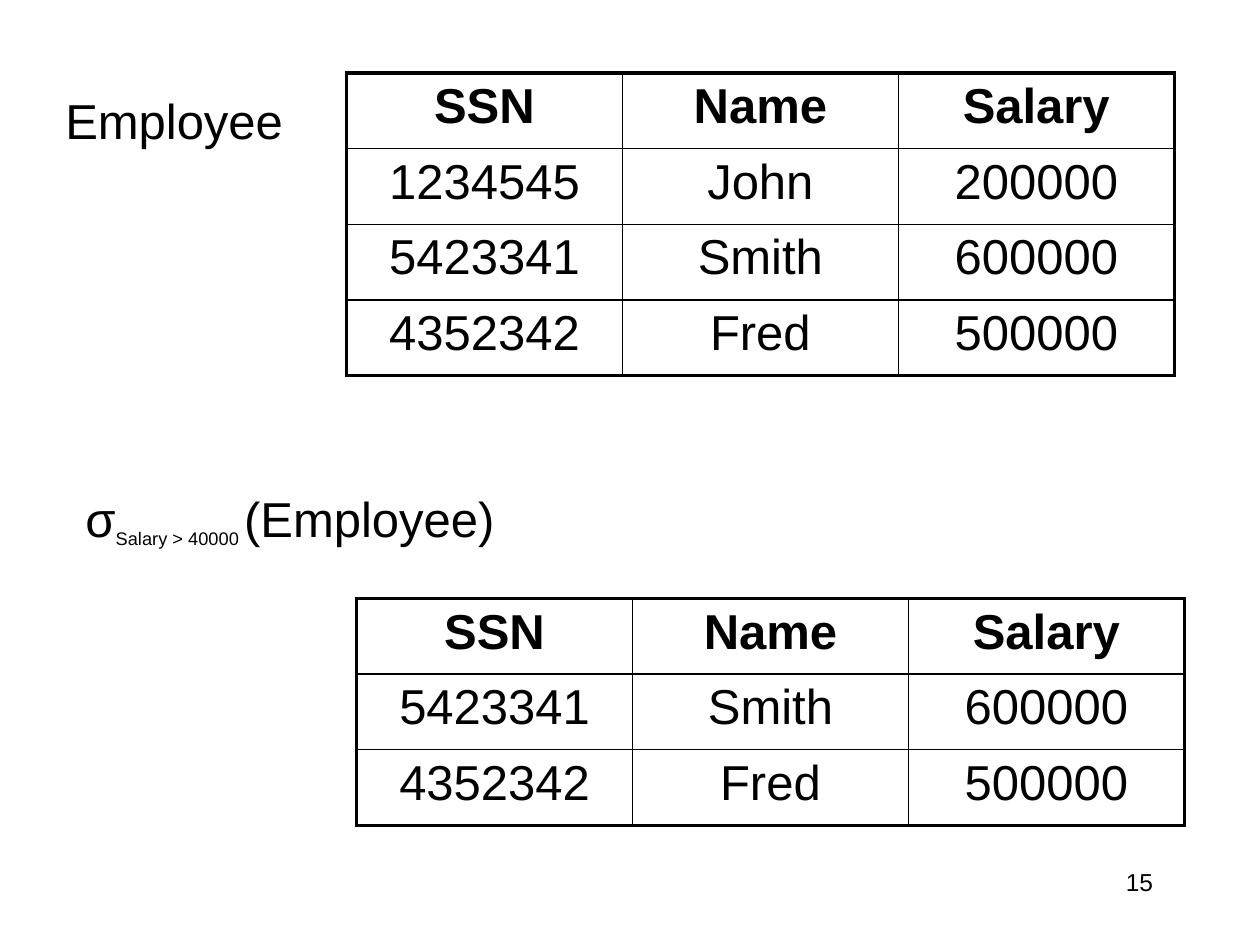
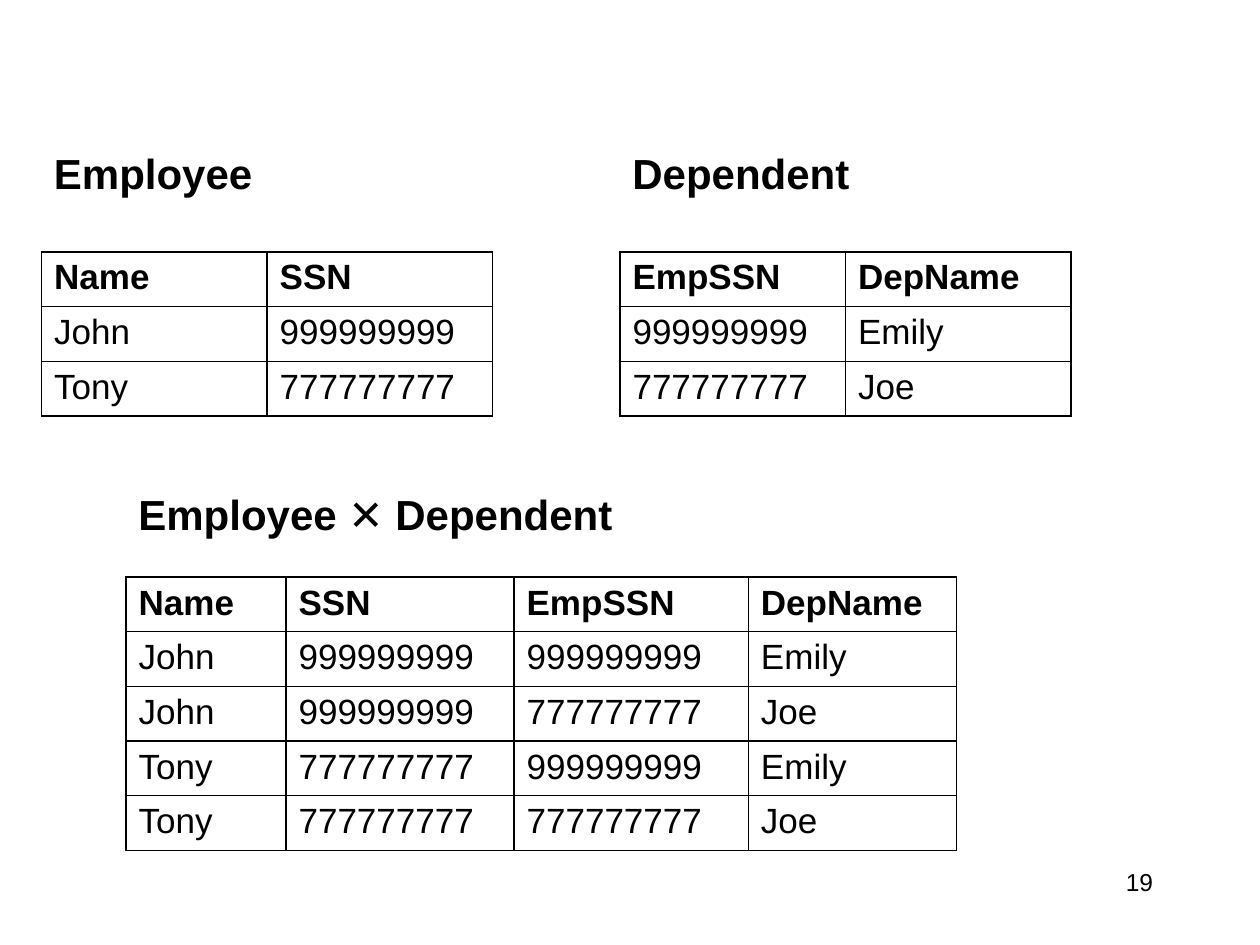
from itertools import product

from lxml import etree
from pptx import Presentation
from pptx import util as u
from pptx.dml.color import RGBColor
from pptx.enum import text as t
from pptx.oxml.ns import qn

WIDTH, HEIGHT = 10, 7.5
INK, FACE = "000000", "Arial"
INNER_LINE = 1

PAY_HEADER = ("SSN", "Name", "Salary")
PAY_ROWS = [
    ("1234545", "John", "200000"),
    ("5423341", "Smith", "600000"),
    ("4352342", "Fred", "500000"),
]
EMPLOYEE_HEADER = ("Name", "SSN")
EMPLOYEES = [("John", "999999999"), ("Tony", "777777777")]
DEPENDENT_HEADER = ("EmpSSN", "DepName")
DEPENDENTS = [("999999999", "Emily"), ("777777777", "Joe")]
PAIRS = [employee + dependent for employee, dependent in product(EMPLOYEES, DEPENDENTS)]

# Table looks: text size, row height, outer line, alignment
LARGE = dict(size=28, row=0.6, outer=2.25, align=t.PP_ALIGN.CENTER)
SMALL = dict(size=20, row=0.434, outer=INNER_LINE, align=t.PP_ALIGN.LEFT)

PLAIN = dict(size=28, bold=False)
HEADING = dict(size=24, bold=True)
NUMBER = dict(size=14, bold=False)
SUBSCRIPT = dict(size=18, bold=False, baseline=-25)

# Labels: place and size, then runs; tables: corner, column widths, rows, look
SLIDES = [
    dict(
        number="15",
        labels=[
            ((0.58, 3.83, 3.62, 0.57),
             [("σ", PLAIN), ("Salary > 40000 ", SUBSCRIPT), ("(Employee)", PLAIN)]),
            ((0.42, 0.67, 1.93, 0.57), [("Employee", PLAIN)]),
        ],
        tables=[
            ((2.75, 0.58), [2.19] * 3, [PAY_HEADER, *PAY_ROWS], LARGE),
            ((2.83, 4.75), [2.19] * 3, [PAY_HEADER, *PAY_ROWS[1:]], LARGE),
        ],
    ),
    dict(
        number="19",
        labels=[
            ((0.33, 1.12, 1.78, 0.5), [("Employee", HEADING)]),
            ((4.92, 1.12, 1.92, 0.5), [("Dependent", HEADING)]),
            ((1, 3.83, 4.02, 0.5), [("Employee ✕ Dependent", HEADING)]),
        ],
        tables=[
            ((0.33, 2), [1.79] * 2, [EMPLOYEE_HEADER, *EMPLOYEES], SMALL),
            ((4.92, 2), [1.79] * 2, [DEPENDENT_HEADER, *DEPENDENTS], SMALL),
            ((1, 4.58), [1.27, 1.81, 1.86, 1.65],
             [EMPLOYEE_HEADER + DEPENDENT_HEADER, *PAIRS], SMALL),
        ],
    ),
]


def colour(value):
    return RGBColor.from_string(value)


def add_run(paragraph, words, size, bold, baseline=0):
    run = paragraph.add_run()
    run.text = words
    for key, value in dict(name=FACE, size=u.Pt(size), bold=bold).items():
        setattr(run.font, key, value)
    run.font.color.rgb = colour(INK)
    if baseline:
        run._r.get_or_add_rPr().set("baseline", str(baseline * 1000))


def add_label(slide, place, runs):
    """Add an unwrapped one-line text that fits its box."""
    box = slide.shapes.add_textbox(*map(u.Inches, place))
    box.text_frame.word_wrap = False
    box.text_frame.auto_size = t.MSO_AUTO_SIZE.SHAPE_TO_FIT_TEXT
    for words, style in runs:
        add_run(box.text_frame.paragraphs[0], words, **style)


def add_slide_number(slide, number):
    box = slide.shapes.add_textbox(*map(u.Inches, (7.17, 6.83, 2.08, 0.5)))
    box.text_frame.word_wrap = True
    paragraph = box.text_frame.paragraphs[0]
    paragraph.alignment = t.PP_ALIGN.RIGHT
    add_run(paragraph, number, **NUMBER)


def set_borders(cell, widths):
    """Draw cell sides from widths in points, ordered L, R, T, B."""
    properties = cell._tc.get_or_add_tcPr()
    for position, (side, width) in enumerate(widths.items()):
        line = etree.Element(qn(f"a:ln{side}"), w=str(u.Pt(width)))
        fill = etree.SubElement(line, qn("a:solidFill"))
        etree.SubElement(fill, qn("a:srgbClr"), val=INK)
        properties.insert(position, line)


def add_grid(slide, corner, widths, rows, look):
    size = sum(widths), look["row"] * len(rows)
    table = slide.shapes.add_table(
        len(rows), len(widths), *map(u.Inches, (*corner, *size))).table
    table.first_row = table.horz_banding = False
    for column, width in zip(table.columns, widths):
        column.width = u.Inches(width)

    last_row, last_column = len(rows) - 1, len(widths) - 1
    for r, row in enumerate(rows):
        table.rows[r].height = u.Inches(look["row"])
        for c, words in enumerate(row):
            cell = table.cell(r, c)
            cell.fill.background()
            edges = dict(L=c == 0, R=c == last_column, T=r == 0, B=r == last_row)
            set_borders(cell, {side: look["outer"] if is_outer else INNER_LINE
                               for side, is_outer in edges.items()})
            paragraph = cell.text_frame.paragraphs[0]
            paragraph.alignment = look["align"]
            add_run(paragraph, words, look["size"], bold=r == 0)


def main():
    deck = Presentation()
    deck.slide_width, deck.slide_height = u.Inches(WIDTH), u.Inches(HEIGHT)
    for content in SLIDES:
        slide = deck.slides.add_slide(deck.slide_layouts[6])
        add_slide_number(slide, content["number"])
        for label in content["labels"]:
            add_label(slide, *label)
        for grid in content["tables"]:
            add_grid(slide, *grid)
    deck.save("out.pptx")


if __name__ == "__main__":
    main()
